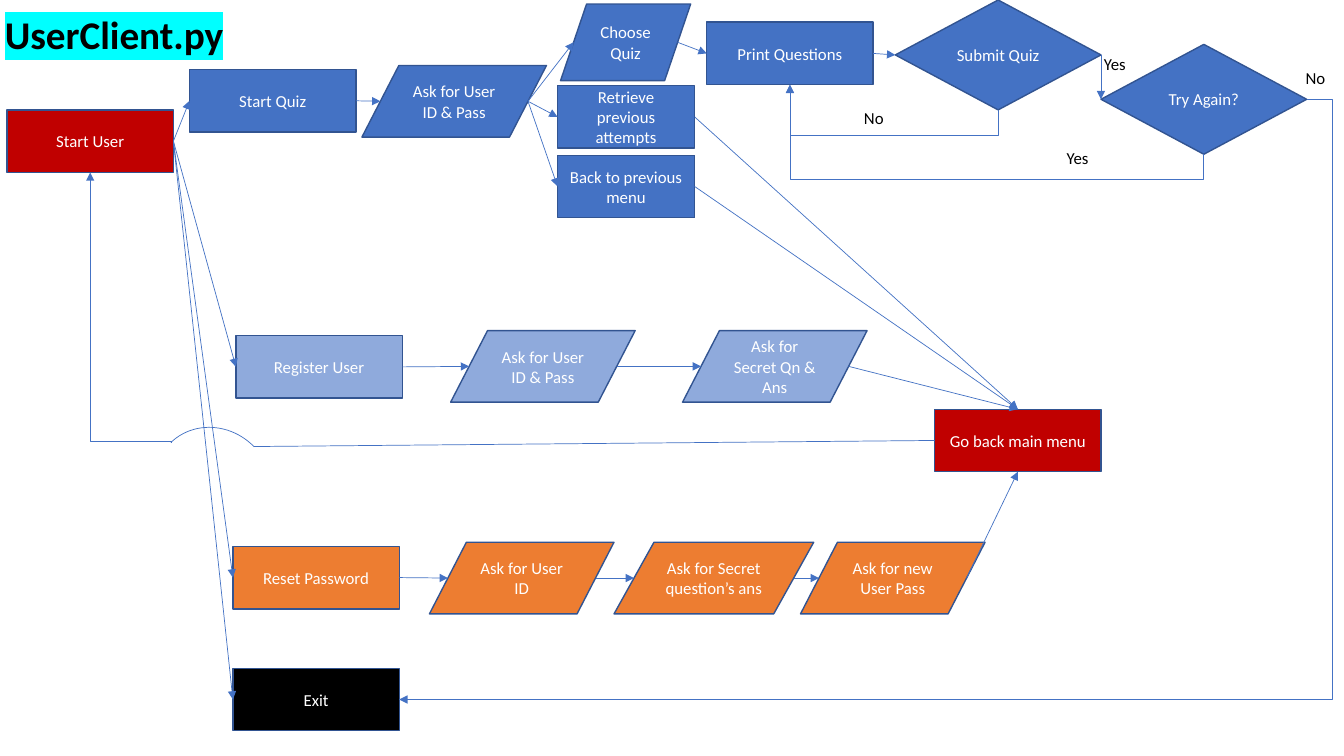
import lxml.etree
import pptx
import pptx.dml.color
import pptx.enum.shapes
import pptx.enum.text
import pptx.oxml.ns
import pptx.util

Inches = pptx.util.Inches
Pt = pptx.util.Pt
Shape = pptx.enum.shapes.MSO_SHAPE
Connector = pptx.enum.shapes.MSO_CONNECTOR
qn = pptx.oxml.ns.qn

BLUE, PALE, ORANGE, RED, BLACK = "4472C4", "8FAADC", "ED7D31", "C00000", "000000"
OUTLINE, WHITE, CYAN = "325491", "FFFFFF", "00FFFF"
PROCESS = Shape.FLOWCHART_PROCESS
DATA = Shape.FLOWCHART_DATA
DECISION = Shape.FLOWCHART_DECISION
STEP, CHOICE, ASK, TEST = (1.65, 0.62), (1.36, 0.62), (1.83, 0.71), (2.04, 1.09)

# key: (shape kind, fill, left, top, size, text)
NODES = {
    "start": (PROCESS, RED, 0.07, 1.09, STEP, "Start User"),
    "quiz": (PROCESS, BLUE, 1.88, 0.69, STEP, "Start Quiz"),
    "quiz login": (DATA, BLUE, 3.59, 0.65, ASK, "Ask for User ID & Pass"),
    "choose": (DATA, BLUE, 5.56, 0.04, (1.29, 0.76), "Choose\nQuiz"),
    "retrieve": (PROCESS, BLUE, 5.53, 0.85, CHOICE, "Retrieve previous attempts"),
    "back": (PROCESS, BLUE, 5.53, 1.54, CHOICE, "Back to previous menu"),
    "print": (PROCESS, BLUE, 7.01, 0.22, STEP, "Print Questions"),
    "submit": (DECISION, BLUE, 8.88, 0, TEST, "Submit Quiz"),
    "again": (DECISION, BLUE, 10.92, 0.44, TEST, "Try Again?"),
    "register": (PROCESS, PALE, 2.34, 3.33, STEP, "Register User"),
    "register login": (DATA, PALE, 4.47, 3.28, ASK, "Ask for User ID & Pass"),
    "register secret": (DATA, PALE, 6.77, 3.28, ASK, "Ask for Secret Qn & Ans"),
    "menu": (PROCESS, RED, 9.27, 4.06, STEP, "Go back main menu"),
    "reset": (PROCESS, ORANGE, 2.31, 5.42, STEP, "Reset Password"),
    "reset id": (DATA, ORANGE, 4.26, 5.38, ASK, "Ask for User ID"),
    "reset secret": (DATA, ORANGE, 6.09, 5.38, (1.98, 0.71), "Ask for Secret question’s ans"),
    "new pass": (DATA, ORANGE, 7.94, 5.38, ASK, "Ask for new User Pass"),
    "exit": (PROCESS, BLACK, 2.31, 6.63, STEP, "Exit"),
}

# Arrows leave on the right; they arrive on the named side.
ARROWS = [
    ("start", "quiz", "left"), ("start", "register", "left"),
    ("start", "reset", "left"), ("start", "exit", "left"),
    ("quiz", "quiz login", "left"), ("quiz login", "choose", "left"),
    ("quiz login", "retrieve", "left"), ("quiz login", "back", "left"),
    ("choose", "print", "left"), ("print", "submit", "left"),
    ("submit", "again", "left"), ("retrieve", "menu", "top"),
    ("back", "menu", "top"), ("register", "register login", "left"),
    ("register login", "register secret", "left"),
    ("register secret", "menu", "top"), ("reset", "reset id", "left"),
    ("reset id", "reset secret", "left"), ("reset secret", "new pass", "left"),
    ("new pass", "menu", "bottom"),
]

LABELS = [("No", 8.47, 1.02), ("Yes", 10.85, 0.48), ("Yes", 10.48, 1.42), ("No", 12.85, 0.62)]


def rgb(value):
    return pptx.dml.color.RGBColor.from_string(value)


def site(key, side):
    """Return the point where a line meets the given side of a node."""
    kind, _, left, top, (width, height), _ = NODES[key]
    slant = width / 10 if kind == DATA else 0
    return {
        "left": (left + slant, top + height / 2),
        "right": (left + width - slant, top + height / 2),
        "top": (left + width / 2, top),
        "bottom": (left + width / 2, top + height),
    }[side]


def add_run(para, text, size, color, bold=False):
    span = para.add_run()
    span.text = text
    span.font.name = "Calibri"
    span.font.size = Pt(size)
    span.font.bold = bold
    span.font.color.rgb = rgb(color)
    return span


def add_node(page, kind, fill, left, top, size, text):
    box = page.shapes.add_shape(kind, *map(Inches, (left, top, *size)))
    box.shadow.inherit = False
    box.fill.solid()
    box.fill.fore_color.rgb = rgb(fill)
    box.line.color.rgb = rgb(OUTLINE)
    box.line.width = Pt(1)
    frame = box.text_frame
    frame.word_wrap = True
    frame.vertical_anchor = pptx.enum.text.MSO_ANCHOR.MIDDLE
    para = frame.paragraphs[0]
    para.alignment = pptx.enum.text.PP_ALIGN.CENTER
    for number, part in enumerate(text.split("\n")):
        if number:
            para.add_line_break()
        add_run(para, part, 12, WHITE)


def add_label(page, text, left, top, width=0.59, height=0.3, size=12, bold=False):
    box = page.shapes.add_textbox(*map(Inches, (left, top, width, height)))
    box.text_frame.word_wrap = True
    box.text_frame.auto_size = pptx.enum.text.MSO_AUTO_SIZE.SHAPE_TO_FIT_TEXT
    return add_run(box.text_frame.paragraphs[0], text, size, BLACK, bold)


def highlight(span, color):
    fill = span._r.rPr.find(qn("a:solidFill"))
    mark = lxml.etree.Element(qn("a:highlight"))
    lxml.etree.SubElement(mark, qn("a:srgbClr"), val=color)
    fill.addnext(mark)


def add_line(page, start, end, kind=Connector.STRAIGHT, arrow=True):
    line = page.shapes.add_connector(kind, *map(Inches, (*start, *end)))
    line.line.color.rgb = rgb(BLUE)
    line.line.width = Pt(0.5)
    properties = line._element.spPr
    if arrow:
        lxml.etree.SubElement(properties.find(qn("a:ln")), qn("a:tailEnd"), type="triangle")
    lxml.etree.SubElement(properties, qn("a:effectLst"))
    return line


def set_bend(line, ratio):
    guides = line._element.spPr.find(qn("a:prstGeom")).get_or_add_avLst()
    lxml.etree.SubElement(guides, qn("a:gd"), name="adj1", fmla=f"val {round(ratio * 100000)}")


def add_rising_elbow(page, start, end, drop):
    """Go down by drop, then left, then up to end: an elbow turned by 90 degrees."""
    middle_x, middle_y = (start[0] + end[0]) / 2, (start[1] + end[1]) / 2
    across, rise = start[0] - end[0], start[1] - end[1]
    line = add_line(
        page,
        (middle_x + rise / 2, middle_y - across / 2),
        (middle_x - rise / 2, middle_y + across / 2),
        Connector.ELBOW,
    )
    line._element.spPr.find(qn("a:xfrm")).set("rot", "5400000")
    set_bend(line, -drop / rise)


def add_side_elbow(page, start, end, reach):
    """Go right by reach, then down, then left to end."""
    line = add_line(page, start, end, Connector.ELBOW)
    set_bend(line, -reach / (start[0] - end[0]))


def add_bridge(page):
    """Draw the arc that carries the way back over the menu arrows."""
    arc = page.shapes.add_shape(Shape.ARC, *map(Inches, (1.55, 4.22, 1.13, 1.21)))
    arc.rotation = 316
    arc.shadow.inherit = False
    arc.fill.background()
    arc.line.color.rgb = rgb(BLUE)
    arc.line.width = Pt(0.5)


def main():
    deck = pptx.Presentation()
    deck.slide_width, deck.slide_height = Inches(13.33), Inches(7.5)
    page = deck.slides.add_slide(deck.slide_layouts[6])

    for node in NODES.values():
        add_node(page, *node)
    for source, target, side in ARROWS:
        add_line(page, site(source, "right"), site(target, side))

    for source in ("submit", "again"):
        add_rising_elbow(page, site(source, "bottom"), site("print", "bottom"), 0.25)
    add_side_elbow(page, site("again", "right"), site("exit", "right"), 0.25)

    add_line(page, site("menu", "left"), (2.52, 4.43), arrow=False)
    add_bridge(page)
    add_rising_elbow(page, (1.7, 4.39), site("start", "bottom"), -0.01)

    for label in LABELS:
        add_label(page, *label)
    title = add_label(page, "UserClient.py", -0.05, 0.05, 2.76, 0.57, 28, True)
    highlight(title, CYAN)

    deck.save("out.pptx")


if __name__ == "__main__":
    main()
